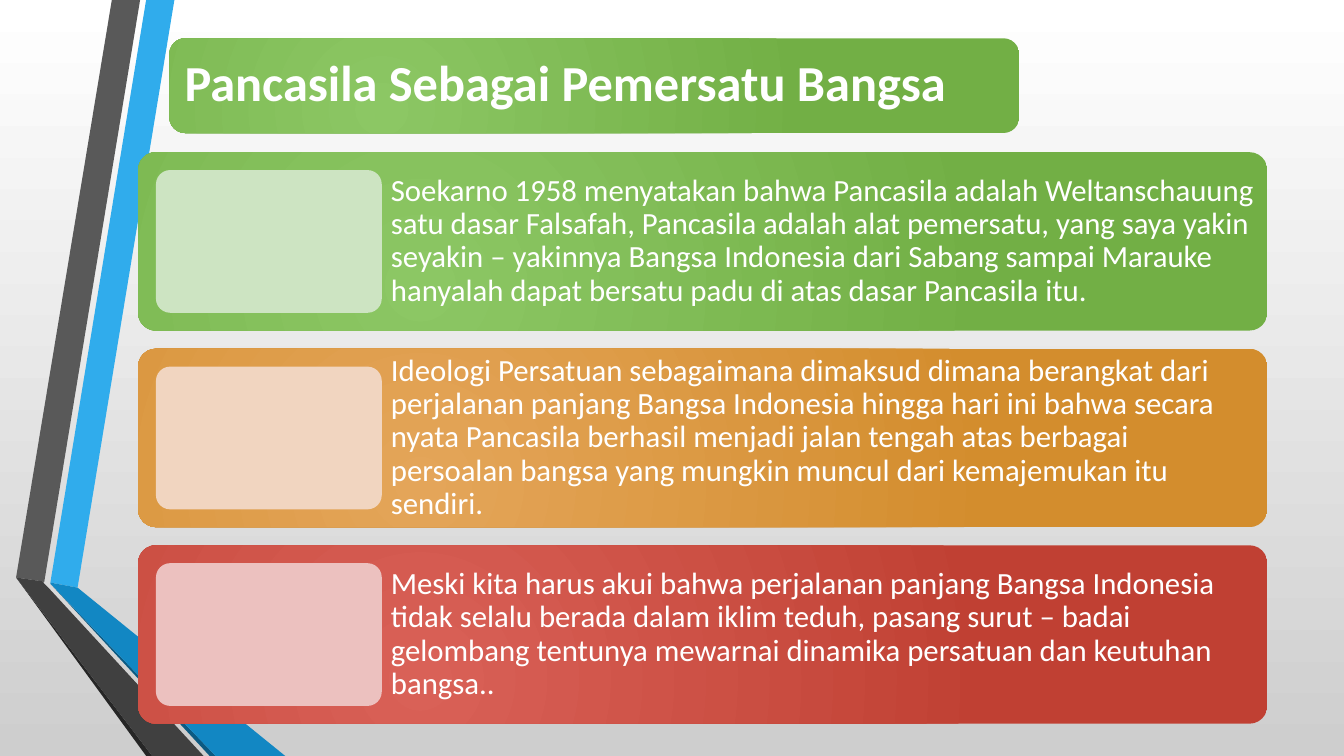
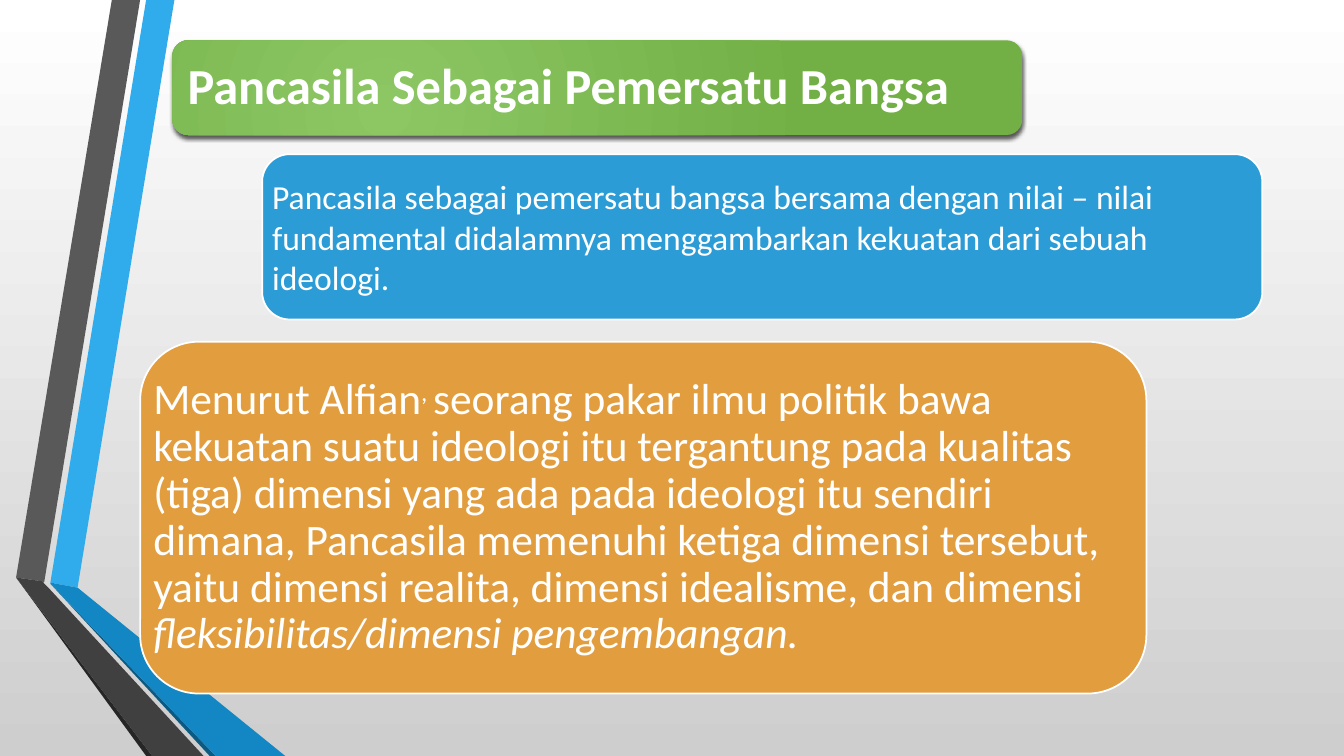
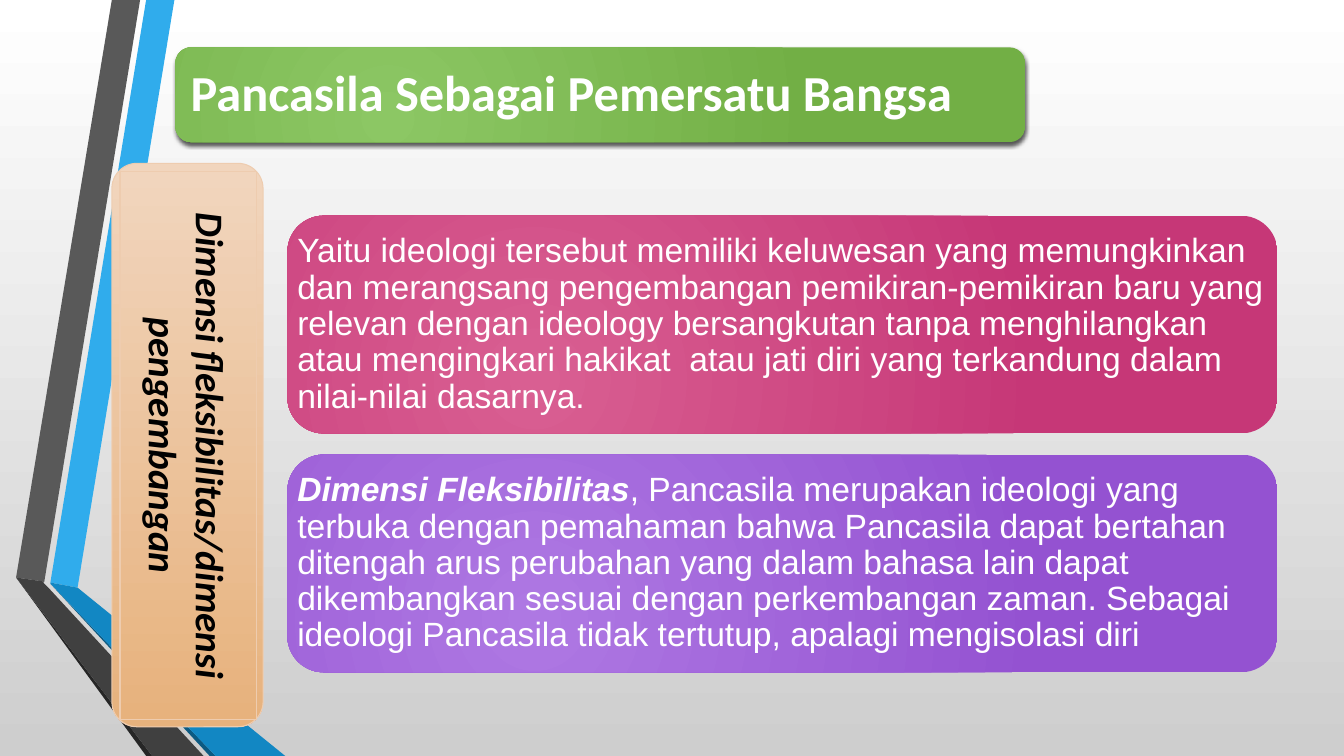
from lxml.etree import SubElement
from pptx import Presentation
from pptx.dml.color import RGBColor
from pptx.enum.shapes import MSO_SHAPE as SHAPE
from pptx.enum.text import MSO_ANCHOR as ANCHOR, MSO_AUTO_SIZE as AUTO, PP_ALIGN as ALIGN
from pptx.oxml.ns import qn
from pptx.util import Inches, Pt

# ---- Content ----
TITLE = "Pancasila Sebagai Pemersatu Bangsa"

UNITY_CARDS = [  # gradient, picture panel colour, text
    (("8CC764", "72AF45"), "CDE4C2",
     "Soekarno 1958 menyatakan bahwa Pancasila adalah Weltanschauung satu dasar Falsafah, "
     "Pancasila adalah alat pemersatu, yang saya yakin seyakin – yakinnya Bangsa Indonesia "
     "dari Sabang sampai Marauke hanyalah dapat bersatu padu di atas dasar Pancasila itu."),
    (("E4A559", "D38D2D"), "F1D5C0",
     "Ideologi Persatuan sebagaimana dimaksud dimana berangkat dari perjalanan panjang "
     "Bangsa Indonesia hingga hari ini bahwa secara nyata Pancasila berhasil menjadi jalan "
     "tengah atas berbagai persoalan bangsa yang mungkin muncul dari kemajemukan itu sendiri."),
    (("D96157", "C04033"), "ECC1BF",
     "Meski kita harus akui bahwa perjalanan panjang Bangsa Indonesia tidak selalu berada "
     "dalam iklim teduh, pasang surut – badai gelombang tentunya mewarnai dinamika persatuan "
     "dan keutuhan bangsa.."),
]

STRENGTH = ("Pancasila sebagai pemersatu bangsa bersama dengan nilai – nilai fundamental "
            "didalamnya menggambarkan kekuatan dari sebuah ideologi.")
ALFIAN = [
    "Menurut Alfian",
    (", ", {"baseline": 30}),
    "seorang pakar ilmu politik bawa kekuatan suatu ideologi itu tergantung pada kualitas "
    "(tiga) dimensi yang ada pada ideologi itu sendiri dimana, Pancasila memenuhi ketiga "
    "dimensi tersebut, yaitu dimensi realita, dimensi idealisme, dan dimensi ",
    ("fleksibilitas/dimensi pengembangan.", {"italic": True}),
]

DIMENSION = "Dimensi fleksibilitas/dimensi pengembangan"
FLEXIBILITY_CARDS = [  # gradient, text
    (("D95F92", "C63777"),
     "Yaitu ideologi tersebut memiliki keluwesan yang memungkinkan dan merangsang "
     "pengembangan pemikiran-pemikiran baru yang relevan dengan ideology bersangkutan tanpa "
     "menghilangkan atau mengingkari hakikat  atau jati diri yang terkandung dalam "
     "nilai-nilai dasarnya."),
    (("AE78E3", "9452D1"),
     [("Dimensi Fleksibilitas", {"bold": True, "italic": True}),
      ", Pancasila merupakan ideologi yang terbuka dengan pemahaman bahwa Pancasila dapat "
      "bertahan ditengah arus perubahan yang dalam bahasa lain dapat dikembangkan sesuai "
      "dengan perkembangan zaman. Sebagai ideologi Pancasila tidak tertutup, apalagi "
      "mengisolasi diri"]),
]

# ---- Shared look ----
BACKGROUND = ("FFFFFF", "CECECE")
TITLE_GREEN = ("8CC764", "72AF45")
PEACH = ("F1D5BD", "E7B27D")
RIBBONS = [  # colour, outline
    ("30ACEC", [(0.5, 5.78), (0.77, 5.83), (1.73, 0), (1.45, 0)]),
    ("595959", [(1.39, 0), (1.11, 0), (0.16, 5.73), (0.44, 5.77)]),
    ("262626", [(0.16, 5.73), (1.45, 7.5), (1.51, 7.5)]),
    ("0C5A82", [(0.5, 5.79), (2.08, 7.5), (2.14, 7.5)]),
    ("1287C3", [(0.5, 5.79), (2.14, 7.5), (2.83, 7.5), (0.77, 5.83), (0.5, 5.78)]),
    ("404040", [(2.02, 7.5), (0.48, 5.83), (0.43, 5.78), (0.44, 5.77), (0.16, 5.73),
                (1.51, 7.5)]),
]


def rgb(value):
    return RGBColor.from_string(value)


def paint(fill, colour, radial=False):
    """Fill with one colour, or with a pair as a top-down or radial gradient."""
    if isinstance(colour, str):
        fill.solid()
        fill.fore_color.rgb = rgb(colour)
        return
    fill.gradient()
    fill.gradient_angle = 270
    for stop, value, position in zip(fill.gradient_stops, colour, (0, 1)):
        stop.color.rgb = rgb(value)
        stop.position = position


def make_radial(shape):
    gradient = shape._element.spPr.find(qn("a:gradFill"))
    gradient.remove(gradient.find(qn("a:lin")))
    circle = SubElement(gradient, qn("a:path"), path="circle")
    SubElement(circle, qn("a:fillToRect"), l="50000", t="100000", r="100000", b="50000")


def finish(shape, colour, line=None, radial=False):
    shape.shadow.inherit = False
    paint(shape.fill, colour)
    if radial:
        make_radial(shape)
    if line:
        shape.line.color.rgb = rgb(line[0])
        shape.line.width = Pt(line[1])
    else:
        shape.line.fill.background()
    return shape


def add_box(slide, area, colour, corner=0.1667, preset=SHAPE.ROUNDED_RECTANGLE, **look):
    box = slide.shapes.add_shape(preset, *map(Inches, area))
    if preset == SHAPE.ROUNDED_RECTANGLE:
        box.adjustments[0] = corner
    return finish(box, colour, **look)


def cast_shadow(shape):
    effects = shape._element.spPr.find(qn("a:effectLst"))
    outer = SubElement(effects, qn("a:outerShdw"), blurRad=str(Pt(3)), dist=str(Pt(2)),
                       dir="5400000", rotWithShape="0")
    black = SubElement(outer, qn("a:srgbClr"), val="000000")
    SubElement(black, qn("a:alpha"), val="64000")


def write(holder, text, size, font="Calibri", colour="FFFFFF", bold=False, italic=False,
          inset=0.1, spacing=0.9, align=ALIGN.LEFT, vertical=False):
    """Write a string, or a list of strings and (string, format) runs, in a shape."""
    frame = holder.text_frame
    frame.word_wrap = True
    frame.auto_size = AUTO.NONE
    frame.vertical_anchor = ANCHOR.MIDDLE
    frame.margin_left = frame.margin_right = Inches(inset)
    frame.margin_top = frame.margin_bottom = Inches(inset)
    if vertical:
        frame._txBody.bodyPr.set("vert", "vert")
    paragraph = frame.paragraphs[0]
    paragraph.alignment = align
    paragraph.line_spacing = spacing
    for part in [text] if isinstance(text, str) else text:
        words, own = (part, {}) if isinstance(part, str) else part
        run = paragraph.add_run()
        run.text = words
        run.font.name = font
        run.font.size = Pt(size)
        run.font.color.rgb = rgb(colour)
        run.font.bold = own.get("bold", bold)
        run.font.italic = own.get("italic", italic)
        if "baseline" in own:
            run._r.get_or_add_rPr().set("baseline", str(own["baseline"] * 1000))


def add_text(slide, area, text, size, **style):
    write(slide.shapes.add_textbox(*map(Inches, area)), text, size, **style)


def add_title(slide, left, top, shadow=True):
    area = (left, top, 8.43, 0.94)
    band = add_box(slide, area, TITLE_GREEN, radial=True)
    if shadow:
        cast_shadow(band)
    title = slide.shapes.title
    title.left, title.top, title.width, title.height = map(Inches, area)
    write(title, TITLE, 36, bold=True, inset=0.15)
    slide.shapes._spTree.append(title._element)  # bring in front of the band


def add_ribbons(slide, layout):
    """Draw the ribbons and move them to the back of the shared layout."""
    for order, (colour, outline) in enumerate(RIBBONS):
        points = [(Inches(x), Inches(y)) for x, y in outline]
        builder = slide.shapes.build_freeform(*points[0])
        builder.add_line_segments(points[1:], close=True)
        ribbon = finish(builder.convert_to_shape(), colour)
        layout.shapes._spTree.insert(2 + order, ribbon._element)


def build_unity(slide):
    add_title(slide, 1.68, 0.38, shadow=False)
    left, width, height, pitch = 1.37, 11.2, 1.77, 1.95
    margin, panel_width = height * 0.1, 2.24
    text_left = left + margin + panel_width
    for row, (gradient, panel, text) in enumerate(UNITY_CARDS):
        top = 1.51 + row * pitch
        add_box(slide, (left, top, width, height), gradient, corner=0.1, radial=True)
        add_text(slide, (text_left, top, left + width - text_left, height), text, 22,
                 inset=0.09)
        add_box(slide, (left + margin, top + margin, panel_width, height - 2 * margin),
                panel, corner=0.1)


def build_strength(slide):
    add_title(slide, 1.71, 0.4)
    for area, colour, text, size, style in [
        ((2.6, 1.53, 9.92, 1.64), "2C9CD6", STRENGTH, 24, {"spacing": 1.0}),
        ((1.39, 3.39, 9.98, 3.49), "E29D3E", ALFIAN, 31, {"inset": 0.13}),
    ]:
        add_box(slide, area, colour, line=("FFFFFF", 1.25))
        add_text(slide, area, text, size, **style)


def build_flexibility(slide):
    add_title(slide, 1.74, 0.47)
    # Vertical label with an inner frame
    edge = ("EECCAF", 0.75)
    add_box(slide, (1.11, 1.62, 1.5, 5.59), PEACH, line=edge)
    label = add_box(slide, (1.19, 1.7, 1.35, 5.44), PEACH, preset=SHAPE.RECTANGLE, line=edge)
    write(label, DIMENSION, 28, colour="000000", bold=True, italic=True, inset=0.08,
          spacing=1.0, align=ALIGN.CENTER, vertical=True)
    # Explanation cards
    for row, (gradient, text) in enumerate(FLEXIBILITY_CARDS):
        area = (2.85, 2.14 + row * 2.37, 9.82, 2.16)
        add_box(slide, area, gradient, radial=True)
        add_text(slide, area, text, 24, font="Arial")


def main():
    deck = Presentation()
    deck.slide_width, deck.slide_height = Inches(13.33), Inches(7.5)
    paint(deck.slide_master.background.fill, BACKGROUND)
    layout = deck.slide_layouts.get_by_name("Title Only")
    for build in (build_unity, build_strength, build_flexibility):
        slide = deck.slides.add_slide(layout)
        if len(deck.slides) == 1:
            add_ribbons(slide, layout)
        build(slide)
    deck.save("out.pptx")


if __name__ == "__main__":
    main()
